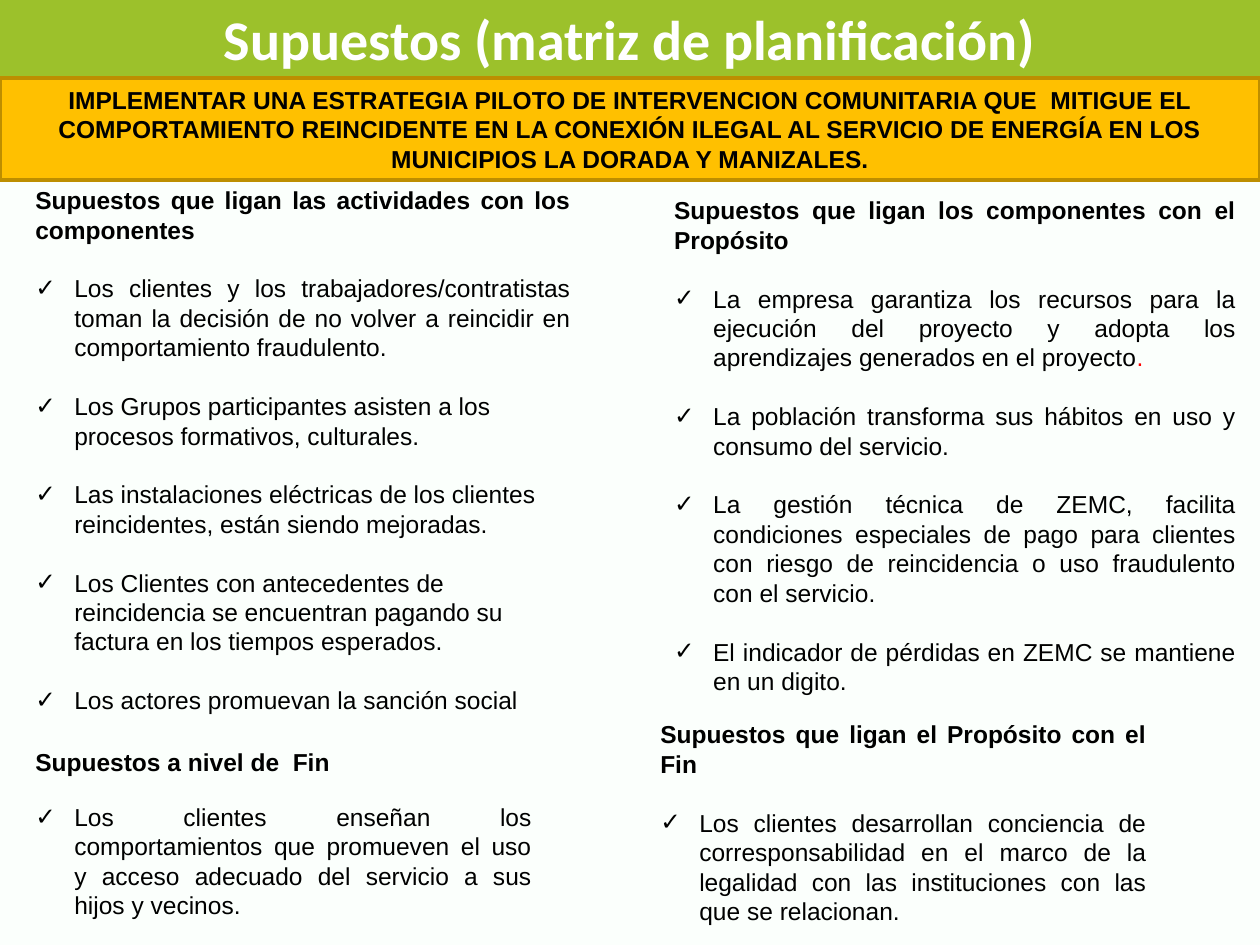
from lxml.etree import SubElement
from pptx import Presentation
from pptx.dml.color import RGBColor
from pptx.enum.shapes import MSO_SHAPE as Shape
from pptx.enum.text import MSO_ANCHOR as Anchor, MSO_AUTO_SIZE as AutoSize, PP_ALIGN as Align
from pptx.oxml.ns import qn
from pptx.util import Inches, Pt

WIDTH, HEIGHT = 10, 7.5
COLORS = {"page": "FBFFFC", "title": "9CC12B", "banner": "FFC000", "edge": "BD8E00",
          "white": "FFFFFF", "ink": "000000", "accent": "FF0000"}
INDENT = 0.31
LINE_GAP = 16.8

TITLE = "Supuestos (matriz de planificación)"
BANNER = ("IMPLEMENTAR UNA ESTRATEGIA PILOTO DE INTERVENCION COMUNITARIA QUE  MITIGUE EL "
          "COMPORTAMIENTO REINCIDENTE EN LA CONEXIÓN ILEGAL AL SERVICIO DE ENERGÍA EN LOS "
          "MUNICIPIOS LA DORADA Y MANIZALES.")

# Each block: left, top, width, height; gap between paragraphs; heading;
# justified items; left-aligned items.
BLOCKS = [
    ((0.28, 1.47, 4.25, 4.24), LINE_GAP,
     "Supuestos que ligan las actividades con los componentes",
     ["Los clientes y los trabajadores/contratistas toman la decisión de no volver a "
      "reincidir en comportamiento fraudulento."],
     ["Los Grupos participantes asisten a los procesos formativos, culturales.",
      "Las instalaciones eléctricas de los clientes reincidentes, están siendo mejoradas.",
      "Los Clientes con antecedentes de reincidencia se encuentran pagando su factura en "
      "los tiempos esperados.",
      "Los actores promuevan la sanción social"]),
    ((5.35, 1.55, 4.46, 4.01), LINE_GAP,
     "Supuestos que ligan los componentes con el Propósito",
     [("La empresa garantiza los recursos para la ejecución del proyecto y adopta los "
       "aprendizajes generados en el proyecto", "."),
      "La población transforma sus hábitos en uso y consumo del servicio.",
      "La gestión técnica de ZEMC, facilita condiciones especiales de pago para clientes "
      "con riesgo de reincidencia o uso fraudulento con el servicio.",
      "El indicador de pérdidas en ZEMC se mantiene en un digito."], []),
    ((5.24, 5.71, 3.86, 1.65), LINE_GAP,
     "Supuestos que ligan el Propósito con el Fin",
     ["Los clientes desarrollan conciencia de corresponsabilidad en el marco de la "
      "legalidad con las instituciones con las que se relacionan."], []),
    ((0.28, 5.93, 3.94, 1.38), 14.4,
     "Supuestos a nivel de  Fin",
     ["Los clientes enseñan los comportamientos que promueven el uso y acceso adecuado "
      "del servicio a sus hijos y vecinos."], []),
]


def apply(target, **values):
    for name, value in values.items():
        setattr(target, name, value)


def rgb(name):
    return RGBColor.from_string(COLORS[name])


def paint(item, color):
    item.fill.solid()
    item.fill.fore_color.rgb = rgb(color)


def place(shape, left, top, width, height):
    apply(shape, left=Inches(left), top=Inches(top),
          width=Inches(width), height=Inches(height))


def set_frame(box, anchor, margin_x=0.0, margin_y=0.0):
    apply(box.text_frame, word_wrap=True, auto_size=AutoSize.NONE, vertical_anchor=anchor,
          margin_left=Inches(margin_x), margin_right=Inches(margin_x),
          margin_top=Inches(margin_y), margin_bottom=Inches(margin_y))


def add_span(para, text, color="ink", size=14, bold=False, name="Arial"):
    span = para.add_run()
    span.text = text
    apply(span.font, size=Pt(size), bold=bold, name=name)
    span.font.color.rgb = rgb(color)


def set_bullet(para, char=None):
    """Give the paragraph a hanging bullet, or none at all."""
    props = para._p.get_or_add_pPr()
    hang = Inches(INDENT) if char else 0
    props.set("marL", str(hang))
    props.set("indent", str(-hang))
    if char:
        SubElement(props, qn("a:buFont"), typeface="Arial")
        SubElement(props, qn("a:buChar"), char=char)
    else:
        SubElement(props, qn("a:buNone"))


def add_title(page):
    title = page.shapes.title
    place(title, 0, -0.02, WIDTH, 0.64)
    paint(title, "title")
    set_frame(title, Anchor.MIDDLE, 0.1, 0.05)
    para = title.text_frame.paragraphs[0]
    para.alignment = Align.CENTER
    add_span(para, TITLE, "white", 32, True, "Calibri")


def add_banner(page):
    banner = page.shapes.add_shape(Shape.RECTANGLE, 0, 0, 0, 0)
    place(banner, 0, 0.62, WIDTH, 0.81)
    banner.shadow.inherit = False
    paint(banner, "banner")
    banner.line.color.rgb = rgb("edge")
    banner.line.width = Pt(2)
    set_frame(banner, Anchor.MIDDLE, 0.1, 0.05)
    para = banner.text_frame.paragraphs[0]
    para.alignment = Align.CENTER
    add_span(para, BANNER, bold=True)


def fill_block(box, area, gap, heading, justified, ragged):
    place(box, *area)
    set_frame(box, Anchor.TOP)
    frame = box.text_frame
    para = frame.paragraphs[0]
    set_bullet(para)
    apply(para, alignment=Align.JUSTIFY, space_before=Pt(0))
    add_span(para, heading, bold=True)
    items = [(item, Align.JUSTIFY) for item in justified]
    items += [(item, Align.LEFT) for item in ragged]
    for item, alignment in items:
        para = frame.add_paragraph()
        set_bullet(para, "✓")
        apply(para, alignment=alignment, space_before=Pt(gap))
        parts = (item,) if isinstance(item, str) else item
        for text, color in zip(parts, ("ink", "accent")):
            add_span(para, text, color)


def main():
    deck = Presentation()
    apply(deck, slide_width=Inches(WIDTH), slide_height=Inches(HEIGHT))
    page = deck.slides.add_slide(deck.slide_layouts.get_by_name("Comparison"))
    paint(page.background, "page")
    add_title(page)
    bodies = list(page.placeholders)[1:]
    for box, block in zip(bodies, BLOCKS):
        fill_block(box, *block)
    add_banner(page)
    deck.save("out.pptx")


if __name__ == "__main__":
    main()
